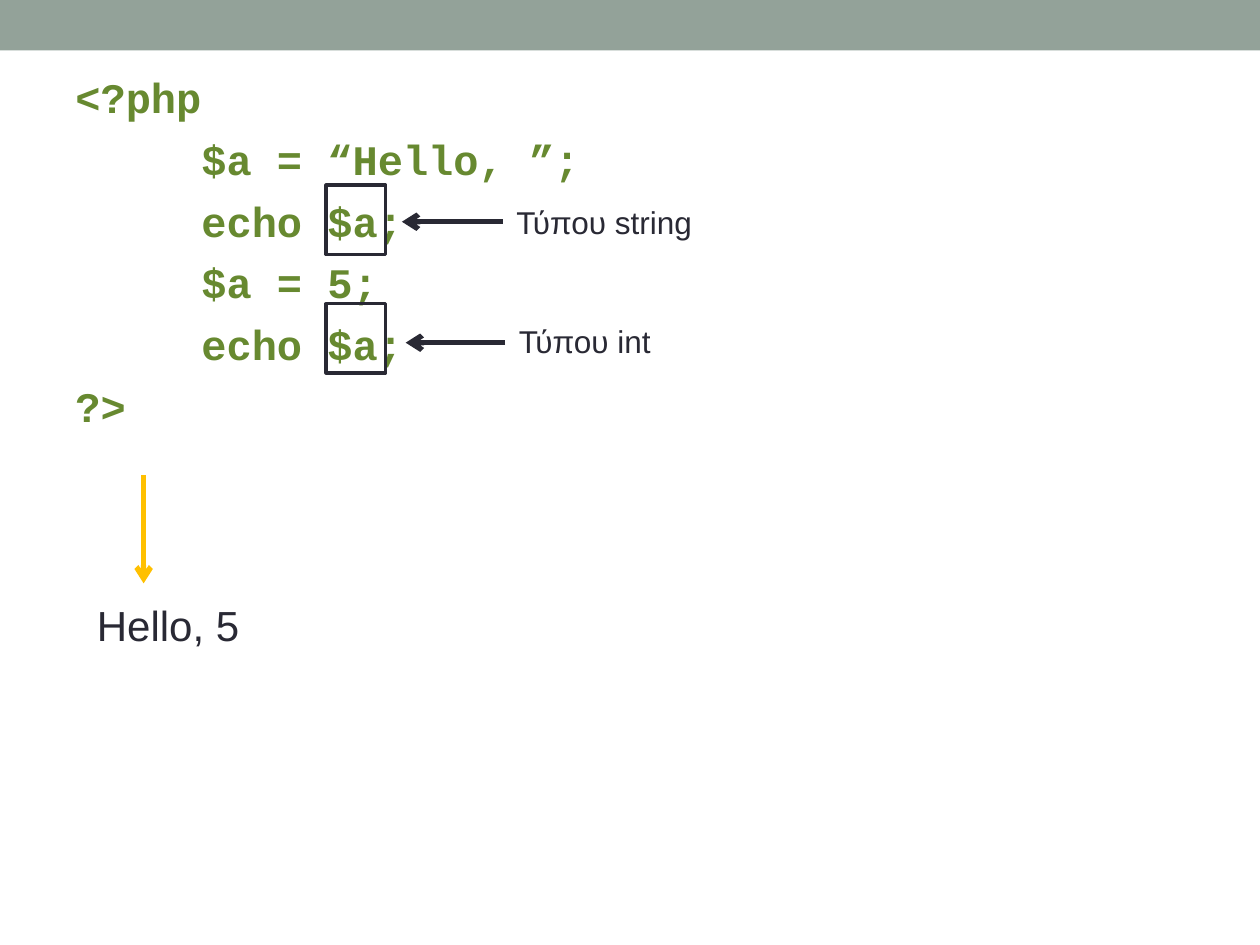
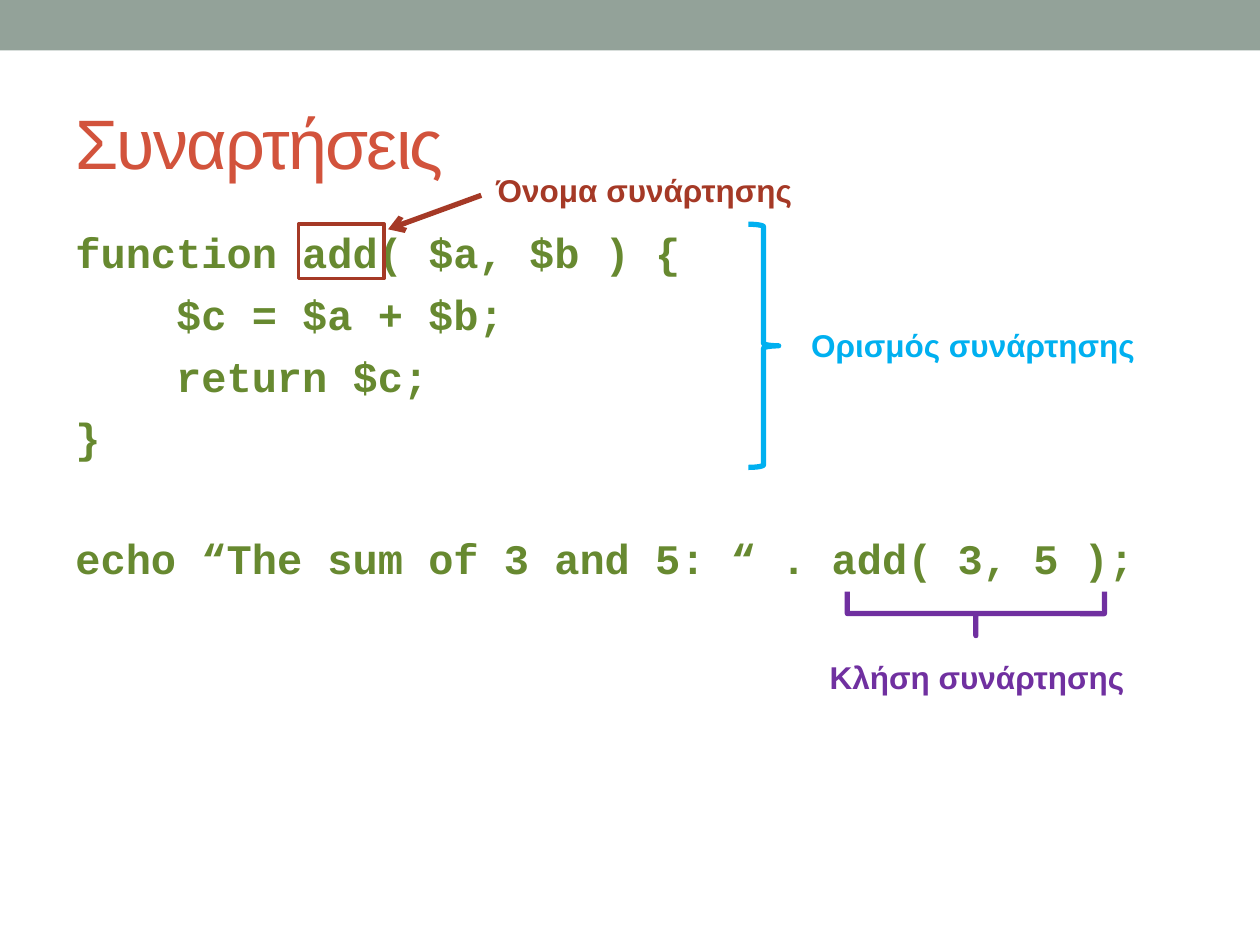
import pptx
import pptx.dml.color
import pptx.enum.shapes
import pptx.enum.text
import pptx.oxml
import pptx.oxml.ns
import pptx.util

Inches, Pt = pptx.util.Inches, pptx.util.Pt
SHAPE = pptx.enum.shapes.MSO_SHAPE
ALIGN = pptx.enum.text.PP_ALIGN
MIDDLE = pptx.enum.text.MSO_ANCHOR.MIDDLE

COLOURS = {
    "band": "93A299", "title": "D2533C", "code": "678930", "ink": "292934",
    "result": "FFC000", "name": "A53926", "definition": "00B0F0", "call": "7030A0",
}
FONTS = {
    "title": {"name": "Arial", "size": Pt(40)},
    "code": {"name": "Courier New", "size": Pt(24), "bold": True},
    "result": {"name": "Arial", "size": Pt(24)},
    "note": {"name": "Arial", "size": Pt(18)},
    "bold note": {"name": "Arial", "size": Pt(18), "bold": True},
}
LINE_GAP, BLOCK_GAP = 6.5, 40  # points before a code line, and before a new block
BOX_LINE, STROKE = 2.08, 3


def write(page, at, lines, font, colour, **paragraph_format):
    """Add a text box; each line is (text, indent in inches, points before)."""
    box = page.shapes.add_textbox(*map(Inches, at))
    frame = box.text_frame
    frame.word_wrap = True
    for number, (text, indent, gap) in enumerate(lines):
        para = frame.add_paragraph() if number else frame.paragraphs[0]
        para.space_before = Pt(gap)
        for key, value in paragraph_format.items():
            setattr(para, key, value)
        if indent:
            properties = para._p.get_or_add_pPr()
            properties.set("marL", str(Inches(indent)))
            properties.set("indent", "0")
        span = para.add_run()
        span.text = text
        for key, value in FONTS[font].items():
            setattr(span.font, key, value)
        span.font.color.rgb = pptx.dml.color.RGBColor.from_string(COLOURS[colour])
    return box


def paint_line(line, colour, width):
    line.color.rgb = pptx.dml.color.RGBColor.from_string(COLOURS[colour])
    line.width = Pt(width)


deck = pptx.Presentation()
deck.slide_width, deck.slide_height = Inches(10), Inches(7.5)

slides = [
    {
        "code at": (0.5, 0.52, 9, 6.56),
        "code": [
            ("<?php", 0, LINE_GAP),
            ("$a = “Hello, ”;", 1, LINE_GAP),
            ("echo $a;", 1, LINE_GAP),
            ("$a = 5;", 1, LINE_GAP),
            ("echo $a;", 1, LINE_GAP),
            ("?>", 0, LINE_GAP),
        ],
        "outlines": [
            (SHAPE.RECTANGLE, (2.59, 2.41, 0.47, 0.55), "ink", BOX_LINE, 0, None),
            (SHAPE.RECTANGLE, (2.59, 1.47, 0.47, 0.55), "ink", BOX_LINE, 0, None),
        ],
        "arrows": [
            ((1.14, 3.77, 1.14, 4.63), "result"),
            ((3.99, 1.76, 3.19, 1.76), "ink"),
            ((4.01, 2.72, 3.22, 2.72), "ink"),
        ],
        "notes": [
            ("Hello, 5", (0.67, 4.71, 4.02, 0.5), "result", "ink", ALIGN.LEFT),
            ("Τύπου string", (4, 1.56, 1.71, 0.4), "note", "ink", ALIGN.LEFT),
            ("Τύπου int", (4.02, 2.51, 2, 0.4), "note", "ink", ALIGN.LEFT),
        ],
    },
    {
        "title": "Συναρτήσεις",
        "code at": (0.5, 1.75, 9, 5.33),
        "code": [
            ("function add( $a, $b ) {", 0, LINE_GAP),
            ("$c = $a + $b;", 0.8, LINE_GAP),
            ("return $c;", 0.8, LINE_GAP),
            ("}", 0, LINE_GAP),
            ("echo “The sum of 3 and 5: “ . add( 3, 5 );", 0, BLOCK_GAP),
        ],
        "outlines": [
            (SHAPE.RECTANGLE, (2.37, 1.78, 0.68, 0.43), "name", BOX_LINE, 0, None),
            (SHAPE.RIGHT_BRACE, (5.94, 1.78, 0.24, 1.93), "definition", STROKE, 0, None),
            (SHAPE.RIGHT_BRACE, (7.57, 3.85, 0.35, 2.04), "call", STROKE, 90, 0),
        ],
        "arrows": [((3.82, 1.55, 3.08, 1.82), "name")],
        "notes": [
            ("Όνομα συνάρτησης", (3.84, 1.31, 3.77, 0.4), "bold note", "name", ALIGN.LEFT),
            ("Ορισμός συνάρτησης", (6.34, 2.54, 3.6, 0.4), "bold note", "definition", ALIGN.LEFT),
            ("Κλήση συνάρτησης", (5.87, 5.17, 3.77, 0.4), "bold note", "call", ALIGN.CENTER),
        ],
    },
]

for content in slides:
    page = deck.slides.add_slide(deck.slide_layouts[6])

    band = page.shapes.add_shape(SHAPE.RECTANGLE, 0, 0, deck.slide_width, Inches(0.4))
    band.shadow.inherit = False
    band.fill.solid()
    band.fill.fore_color.rgb = pptx.dml.color.RGBColor.from_string(COLOURS["band"])
    band.line.fill.background()

    if "title" in content:
        title = write(page, (0.5, 0.58, 9, 1.08), [(content["title"], 0, 0)], "title", "title")
        title.text_frame.vertical_anchor = MIDDLE
        title.text_frame.paragraphs[0].runs[0].font._element.set("spc", "-100")

    write(page, content["code at"], content["code"], "code", "code")

    for kind, at, colour, width, rotation, curl in content["outlines"]:
        outline = page.shapes.add_shape(kind, *map(Inches, at))
        outline.shadow.inherit = False
        outline.fill.background()
        outline.rotation = rotation
        if curl is not None:
            outline.adjustments[0] = curl
        paint_line(outline.line, colour, width)

    for ends, colour in content["arrows"]:
        arrow = page.shapes.add_connector(
            pptx.enum.shapes.MSO_CONNECTOR.STRAIGHT, *map(Inches, ends))
        paint_line(arrow.line, colour, STROKE)
        head = pptx.oxml.parse_xml(
            f'<a:tailEnd {pptx.oxml.ns.nsdecls("a")} type="arrow"/>')
        arrow.line._get_or_add_ln().append(head)
        arrow._element.spPr.append(
            pptx.oxml.parse_xml(f'<a:effectLst {pptx.oxml.ns.nsdecls("a")}/>'))

    for text, at, font, colour, alignment in content["notes"]:
        write(page, at, [(text, 0, 0)], font, colour, alignment=alignment)

deck.save("out.pptx")
